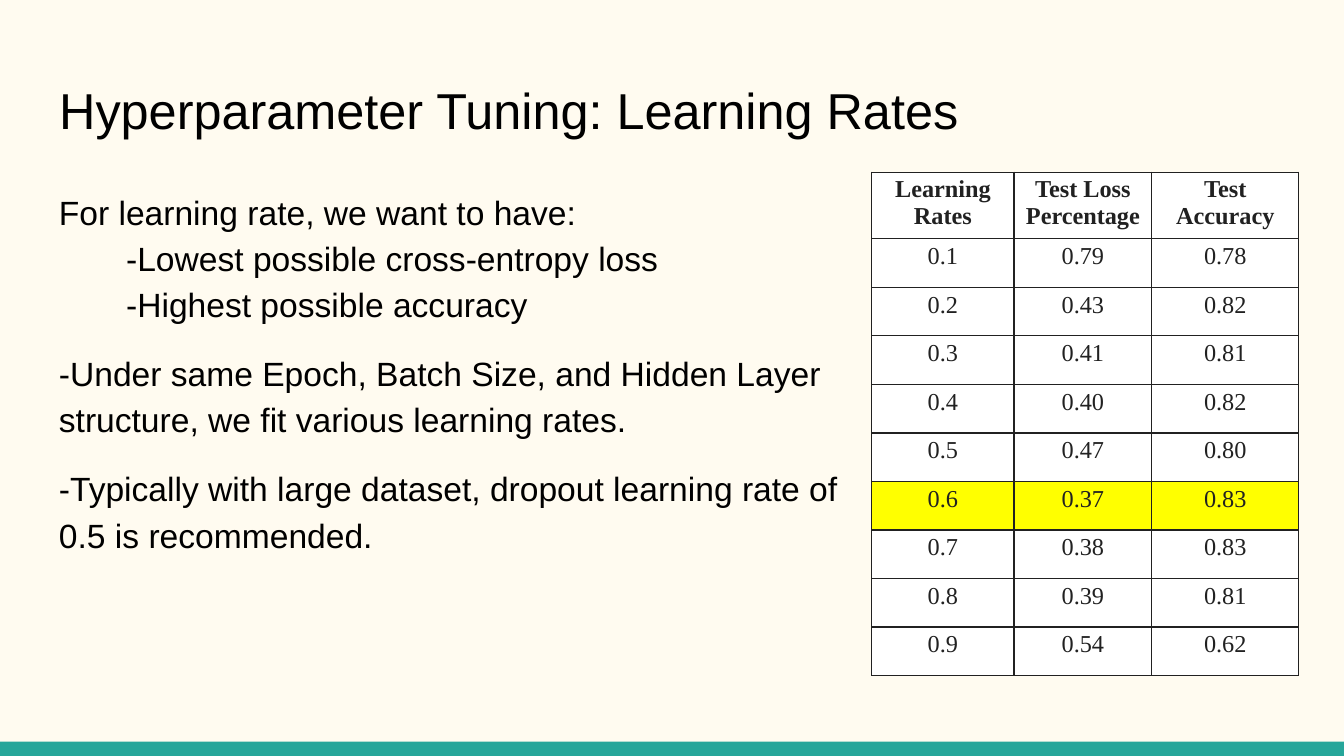
from lxml import etree
from pptx import Presentation
from pptx.dml.color import RGBColor
from pptx.enum.shapes import MSO_SHAPE
from pptx.enum.text import MSO_ANCHOR, PP_ALIGN
from pptx.oxml.ns import qn
from pptx.util import Pt

RECT = MSO_SHAPE.RECTANGLE
TOP = MSO_ANCHOR.TOP
LEFT = PP_ALIGN.LEFT
CENTER = PP_ALIGN.CENTER

CREAM, TEAL, BLACK = "FFFBF0", "26A69A", "000000"
INK, WHITE, YELLOW = "212121", "FFFFFF", "FFFF00"

TITLE = "Hyperparameter Tuning: Learning Rates"
BODY = [
    "For learning rate, we want to have:"
    "\v\t-Lowest possible cross-entropy loss"
    "\v\t-Highest possible accuracy",
    "-Under same Epoch, Batch Size, and Hidden Layer structure, "
    "we fit various learning rates.",
    "-Typically with large dataset, dropout learning rate of 0.5 is recommended.",
]
HEADS = ["Learning Rates", "Test Loss Percentage", "Test Accuracy"]
RATES = [
    ("0.1", "0.79", "0.78"),
    ("0.2", "0.43", "0.82"),
    ("0.3", "0.41", "0.81"),
    ("0.4", "0.40", "0.82"),
    ("0.5", "0.47", "0.80"),
    ("0.6", "0.37", "0.83"),
    ("0.7", "0.38", "0.83"),
    ("0.8", "0.39", "0.81"),
    ("0.9", "0.54", "0.62"),
]
BEST = "0.6"
WIDTHS = [76.2, 73.8, 78.8]


def color(code):
    return RGBColor.from_string(code)


def paint(fill, code):
    fill.solid()
    fill.fore_color.rgb = color(code)


def write(para, text, size=18, font="Arial", ink=BLACK, bold=False,
          align=LEFT, line=1.0, before=0, after=0):
    para.text = text
    para.alignment = align
    para.line_spacing = line
    para.space_before = Pt(before)
    para.space_after = Pt(after)
    for run in para.runs:
        run.font.size = Pt(size)
        run.font.name = font
        run.font.bold = bold
        run.font.color.rgb = color(ink)


def frame(shape):
    box = shape.text_frame
    box.word_wrap = True
    box.vertical_anchor = TOP
    box.margin_left = box.margin_right = Pt(7.2)
    box.margin_top = box.margin_bottom = Pt(7.2)
    return box


def add_bar(slide):
    bar = slide.shapes.add_shape(RECT, Pt(0), Pt(397.3), Pt(720), Pt(7.7))
    bar.shadow.inherit = False
    paint(bar.fill, TEAL)
    bar.line.fill.background()


def add_title(slide):
    title = slide.shapes.title
    title.left, title.top = Pt(24.5), Pt(35.4)
    title.width, title.height = Pt(671), Pt(48)
    write(frame(title).paragraphs[0], TITLE, size=27)


def add_body(slide):
    shape = slide.shapes.add_textbox(Pt(24.5), Pt(92.2), Pt(442), Pt(268))
    box = frame(shape)
    last = len(BODY) - 1
    for i, text in enumerate(BODY):
        para = box.add_paragraph() if i else box.paragraphs[0]
        write(para, text, line=1.15, before=12 if i else 0,
              after=12 if i == last else 0)


def add_edges(cell):
    props = cell._tc.get_or_add_tcPr()
    for i, side in enumerate(("a:lnL", "a:lnR", "a:lnT", "a:lnB")):
        edge = etree.Element(qn(side), w=str(Pt(0.75)))
        fill = etree.SubElement(edge, qn("a:solidFill"))
        etree.SubElement(fill, qn("a:srgbClr"), val=INK)
        props.insert(i, edge)


def fill_cell(cell, text, back, bold):
    cell.margin_left = cell.margin_right = Pt(4.5)
    cell.margin_top = cell.margin_bottom = Pt(2.25)
    paint(cell.fill, back)
    add_edges(cell)
    write(cell.text_frame.paragraphs[0], text, size=13, ink=INK,
          font="Times New Roman", bold=bold, align=CENTER)


def add_grid(slide):
    rows = [HEADS, *RATES]
    shape = slide.shapes.add_table(len(rows), len(HEADS), Pt(467), Pt(92.2),
                                   Pt(sum(WIDTHS)), Pt(266.4))
    grid = shape.table
    for col, width in zip(grid.columns, WIDTHS):
        col.width = Pt(width)
    for r, row in enumerate(rows):
        grid.rows[r].height = Pt(26 if r else 32.4)
        back = YELLOW if row[0] == BEST else WHITE
        for c, text in enumerate(row):
            fill_cell(grid.cell(r, c), text, back, bold=r == 0)


def main():
    deck = Presentation()
    deck.slide_width, deck.slide_height = Pt(720), Pt(405)
    slide = deck.slides.add_slide(deck.slide_layouts[5])
    paint(slide.background.fill, CREAM)
    add_bar(slide)
    add_title(slide)
    add_body(slide)
    add_grid(slide)
    deck.save("out.pptx")


if __name__ == "__main__":
    main()
